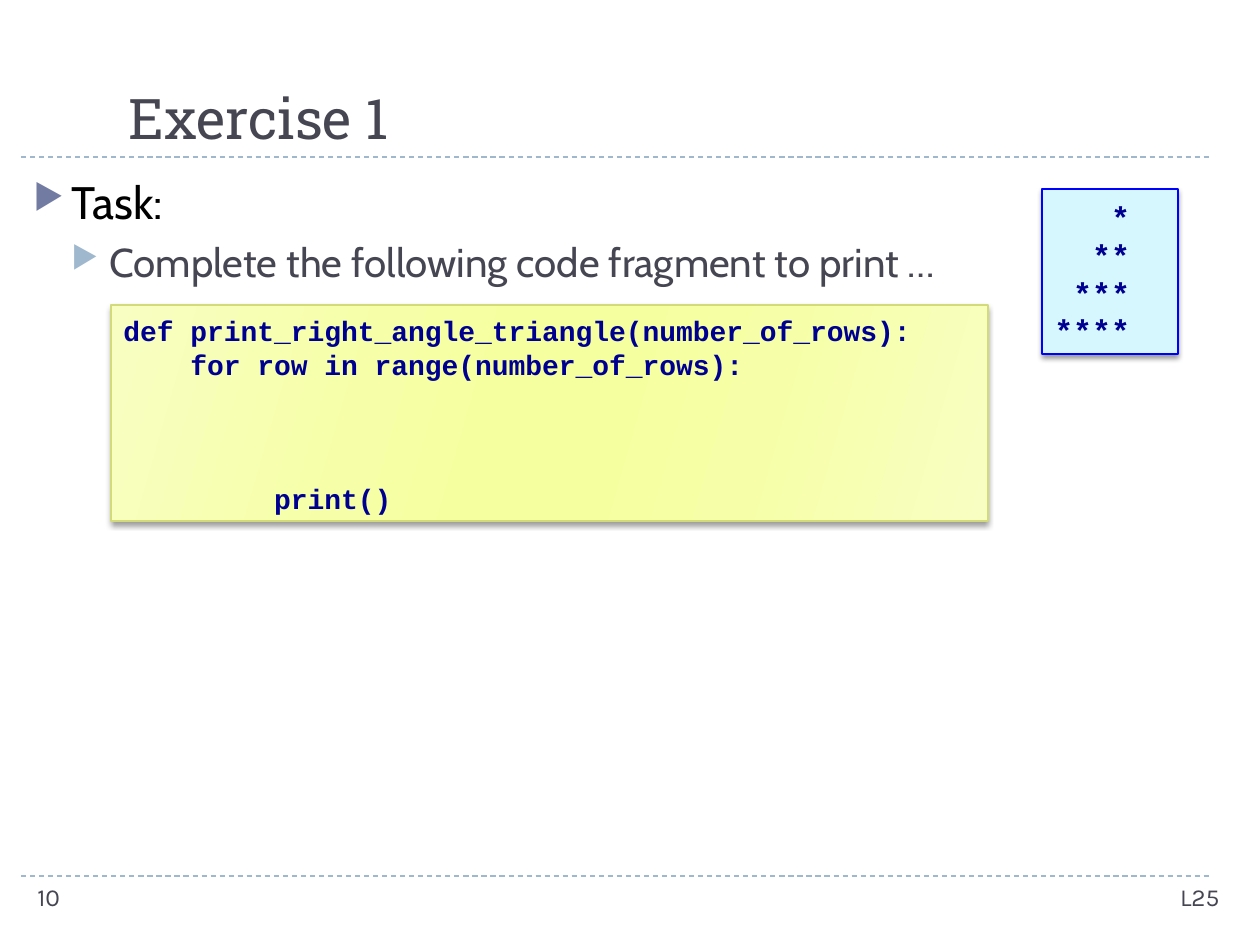
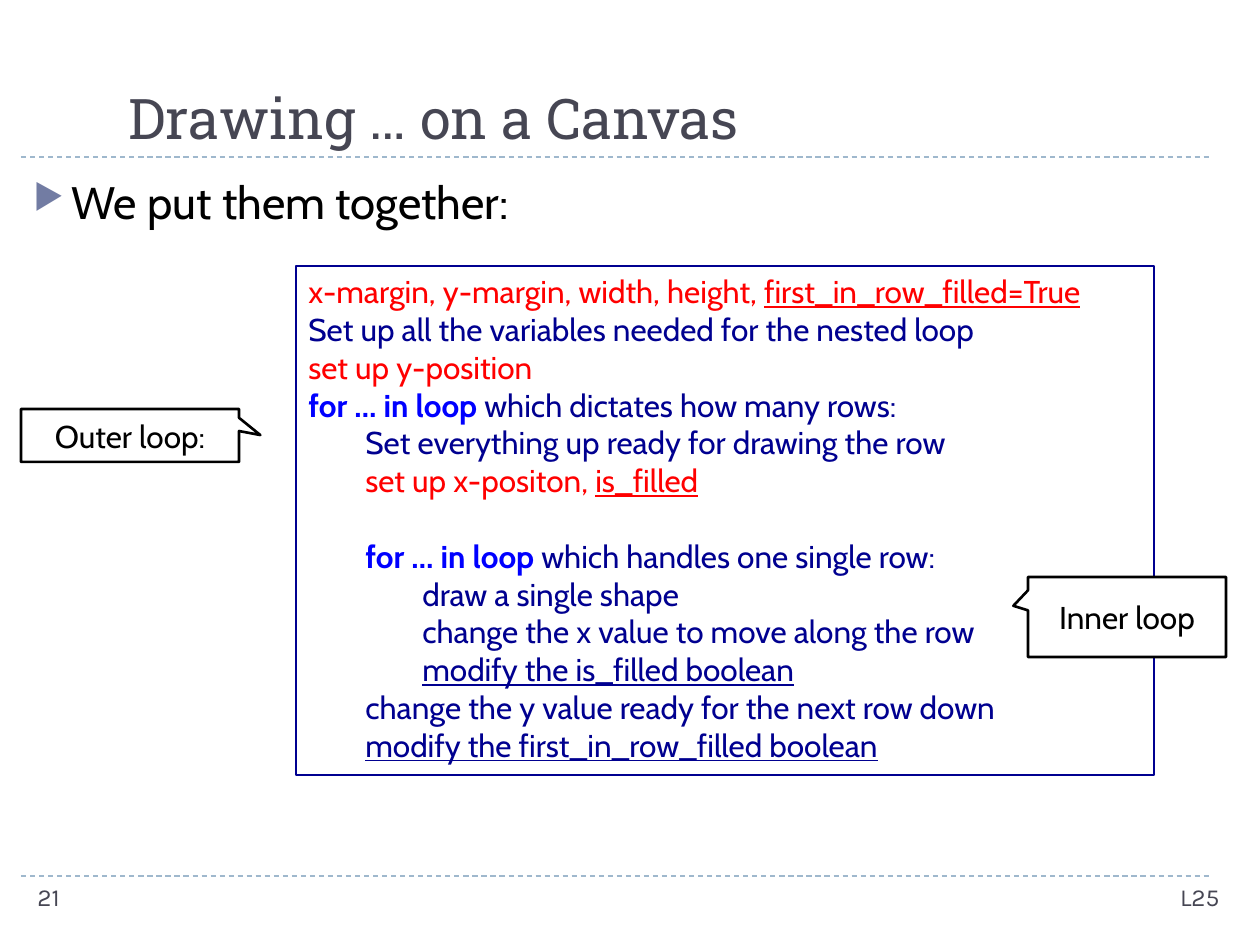
from lxml import etree
from pptx import Presentation, util as u
from pptx.dml.color import RGBColor
from pptx.enum import dml, shapes, text
from pptx.oxml import ns

SLATE = RGBColor(0x46, 0x46, 0x53)
INDIGO = RGBColor(0x72, 0x7C, 0xA3)
STEEL = RGBColor(0x9F, 0xB8, 0xCD)
BLACK = RGBColor(0, 0, 0)
WHITE = RGBColor(0xFF, 0xFF, 0xFF)
NAVY = RGBColor(0, 0, 0x90)
BLUE = RGBColor(0, 0, 0xFF)
RED = RGBColor(0xFF, 0, 0)
ICE = RGBColor(0xD7, 0xF7, 0xFF)
LIME_EDGE = RGBColor(0xD2, 0xDA, 0x7A)
LIME_STOPS = [(0, "F8FEC2"), (30, "F6FFA7"), (45, "F6FF9F"),
              (55, "F6FF9F"), (73, "F6FFA7"), (100, "F8FEC2")]
LIME_ANGLE = 16

TITLE_FONT, BODY_FONT, FOOTER_FONT, CODE_FONT = "Roboto Slab", "Cabin", "Karla", "Courier New"
LECTURE = "L25"
PX = u.Inches(1) / 126
INDENT = 38
STEP_INDENT = 57
LEADING = 1.2

BULLET_LEVELS = [
    dict(size=26, color=BLACK, bullet=INDIGO),
    dict(size=23, color=SLATE, bullet=STEEL),
]

EXERCISE = dict(
    title="Exercise 1", number="10",
    bullets=[(0, "Task:"), (1, "Complete the following code fragment to print …")],
)
STARS = [(0, "   *"), (0, "  **"), (0, " ***"), (0, "****")]
CODE = [
    (0, "def print_right_angle_triangle(number_of_rows):"),
    (0, "    for row in range(number_of_rows):"),
    (3, "         print()"),
]

CANVAS = dict(
    title="Drawing … on a Canvas", number="21",
    bullets=[(0, "We put them together:")],
)
SET_UP, STEP, LOOP = dict(color=RED), dict(color=NAVY), dict(color=BLUE, bold=True)
SET_UP_NEW, STEP_NEW = dict(SET_UP, underline=True), dict(STEP, underline=True)
ALGORITHM = [
    (0, 0, [("x-margin, y-margin, width, height, ", SET_UP),
            ("first_in_row_filled=True", SET_UP_NEW)]),
    (0, 0, [("Set up all the variables needed for the nested loop", STEP)]),
    (0, 0, [("set up y-position", SET_UP)]),
    (0, 0, [("for … in loop ", LOOP), ("which dictates how many rows:", STEP)]),
    (1, 0, [("Set everything up ready for drawing the row", STEP)]),
    (1, 0, [("set up x-positon, ", SET_UP), ("is_filled", SET_UP_NEW)]),
    (1, 1, [("for … in loop ", LOOP), ("which handles one single row:", STEP)]),
    (2, 0, [("draw a single shape", STEP)]),
    (2, 0, [("change the x value to move along the row", STEP)]),
    (2, 0, [("modify the is_filled boolean", STEP_NEW)]),
    (1, 0, [("change the y value ready for the next row down", STEP)]),
    (1, 0, [("modify the first_in_row_filled boolean", STEP_NEW)]),
]
CALLOUTS = [
    ("Outer loop:", (21, 409, 218, 53), (0.598, -0.007)),
    ("Inner loop", (1028, 577, 198, 80), (-0.574, -0.14)),
]


def px(value):
    return u.Emu(round(value * PX))


def add_element(parent, tag, **attributes):
    return etree.SubElement(parent, ns.qn(tag), attributes)


def add_run(paragraph, words, font, size, color, bold=False, underline=False):
    run = paragraph.add_run()
    run.text = words
    run.font.name, run.font.size = font, u.Pt(size)
    run.font.color.rgb = color
    run.font.bold, run.font.underline = bold, underline


def next_paragraph(frame):
    first = frame.paragraphs[0]
    return frame.add_paragraph() if first.runs else first


def add_text_box(slide, box):
    shape = slide.shapes.add_textbox(*map(px, box))
    shape.text_frame.word_wrap = True
    return shape.text_frame


def add_label(slide, box, words, font, size, align=text.PP_ALIGN.LEFT,
              anchor=text.MSO_ANCHOR.TOP):
    frame = add_text_box(slide, box)
    frame.vertical_anchor = anchor
    frame.paragraphs[0].alignment = align
    add_run(frame.paragraphs[0], words, font, size, SLATE)


def add_rule(slide, y):
    rule = slide.shapes.add_connector(
        shapes.MSO_CONNECTOR.STRAIGHT, px(21), px(y), px(1212), px(y))
    rule.line.color.rgb = STEEL
    rule.line.width = u.Pt(0.75)
    rule.line.dash_style = dml.MSO_LINE.DASH
    add_element(rule._element.spPr, "a:effectLst")


def add_bullets(slide, bullets):
    frame = add_text_box(slide, (21, 168, 1207, 703))
    for level, words in bullets:
        style = BULLET_LEVELS[level]
        paragraph = next_paragraph(frame)
        paragraph.level = level
        properties = paragraph._p.get_or_add_pPr()
        properties.set("marL", str(px(INDENT * (level + 1))))
        properties.set("indent", str(px(-INDENT)))
        add_element(add_element(properties, "a:buClr"), "a:srgbClr", val=str(style["bullet"]))
        add_element(properties, "a:buSzPct", val="76000")
        add_element(properties, "a:buChar", char="▶")
        if level:
            paragraph.space_before = u.Pt(5)
        add_run(paragraph, words, BODY_FONT, style["size"], style["color"])


def add_slide(presentation, content):
    slide = presentation.slides.add_slide(presentation.slide_layouts[6])
    for y in (876, 157):
        add_rule(slide, y)
    add_label(slide, (116, 21, 1110, 136), content["title"], TITLE_FONT, 32,
              anchor=text.MSO_ANCHOR.BOTTOM)
    add_bullets(slide, content["bullets"])
    add_label(slide, (917, 876, 315, 50), LECTURE, FOOTER_FONT, 14, text.PP_ALIGN.RIGHT)
    add_label(slide, (25, 876, 273, 50), content["number"], FOOTER_FONT, 14)
    return slide


def add_panel(slide, box, fill, edge, weight=0.75, kind=shapes.MSO_SHAPE.RECTANGLE):
    shape = slide.shapes.add_shape(kind, *map(px, box))
    shape.shadow.inherit = False
    if fill is not None:
        shape.fill.solid()
        shape.fill.fore_color.rgb = fill
    shape.line.color.rgb = edge
    shape.line.width = u.Pt(weight)
    shape.text_frame.word_wrap = True
    shape.text_frame.vertical_anchor = text.MSO_ANCHOR.TOP
    return shape


def fill_lime(shape):
    shape.fill.gradient()
    shape.fill.gradient_angle = 360 - LIME_ANGLE
    stops = shape._element.spPr.find(".//" + ns.qn("a:gsLst"))
    for stop in list(stops):
        stops.remove(stop)
    for position, color in LIME_STOPS:
        stop = add_element(stops, "a:gs", pos=str(position * 1000))
        add_element(stop, "a:srgbClr", val=color)


def add_shadow(shape):
    effects = shape._element.spPr.find(ns.qn("a:effectLst"))
    shadow = add_element(effects, "a:outerShdw", blurRad=str(u.Pt(3)), dist=str(u.Pt(2)),
                         dir="5400000", rotWithShape="0")
    add_element(add_element(shadow, "a:srgbClr", val="000000"), "a:alpha", val="40000")


def add_line(frame, size, gap_lines):
    paragraph = next_paragraph(frame)
    paragraph.alignment = text.PP_ALIGN.LEFT
    paragraph.line_spacing = u.Pt(size * LEADING)
    if gap_lines:
        paragraph.space_before = u.Pt(size * LEADING * gap_lines)
    return paragraph


def add_code(shape, lines, size):
    add_shadow(shape)
    shape.text_frame.margin_top = px(9)
    for gap_lines, words in lines:
        add_run(add_line(shape.text_frame, size, gap_lines), words, CODE_FONT, size, NAVY, bold=True)


def add_algorithm(slide):
    frame = add_panel(slide, (296, 266, 858, 509), WHITE, NAVY).text_frame
    for depth, gap_lines, runs in ALGORITHM:
        paragraph = add_line(frame, 18, gap_lines)
        paragraph._p.get_or_add_pPr().set("marL", str(px(STEP_INDENT * depth)))
        for words, style in runs:
            add_run(paragraph, words, BODY_FONT, 18, **style)


def add_callout(slide, words, box, tip):
    shape = add_panel(slide, box, WHITE, BLACK, 1.5, shapes.MSO_SHAPE.RECTANGULAR_CALLOUT)
    shape.adjustments[0], shape.adjustments[1] = tip
    shape.text_frame.vertical_anchor = text.MSO_ANCHOR.MIDDLE
    paragraph = shape.text_frame.paragraphs[0]
    paragraph.alignment = text.PP_ALIGN.CENTER
    add_run(paragraph, words, BODY_FONT, 18, BLACK)


def main():
    presentation = Presentation()
    presentation.slide_width, presentation.slide_height = px(1260), px(945)

    exercise = add_slide(presentation, EXERCISE)
    add_code(add_panel(exercise, (1042, 189, 136, 165), ICE, BLUE), STARS, 18)
    code_panel = add_panel(exercise, (111, 305, 877, 216), None, LIME_EDGE)
    fill_lime(code_panel)
    add_code(code_panel, CODE, 16)

    canvas = add_slide(presentation, CANVAS)
    add_algorithm(canvas)
    for words, box, tip in CALLOUTS:
        add_callout(canvas, words, box, tip)

    presentation.save("out.pptx")


if __name__ == "__main__":
    main()
